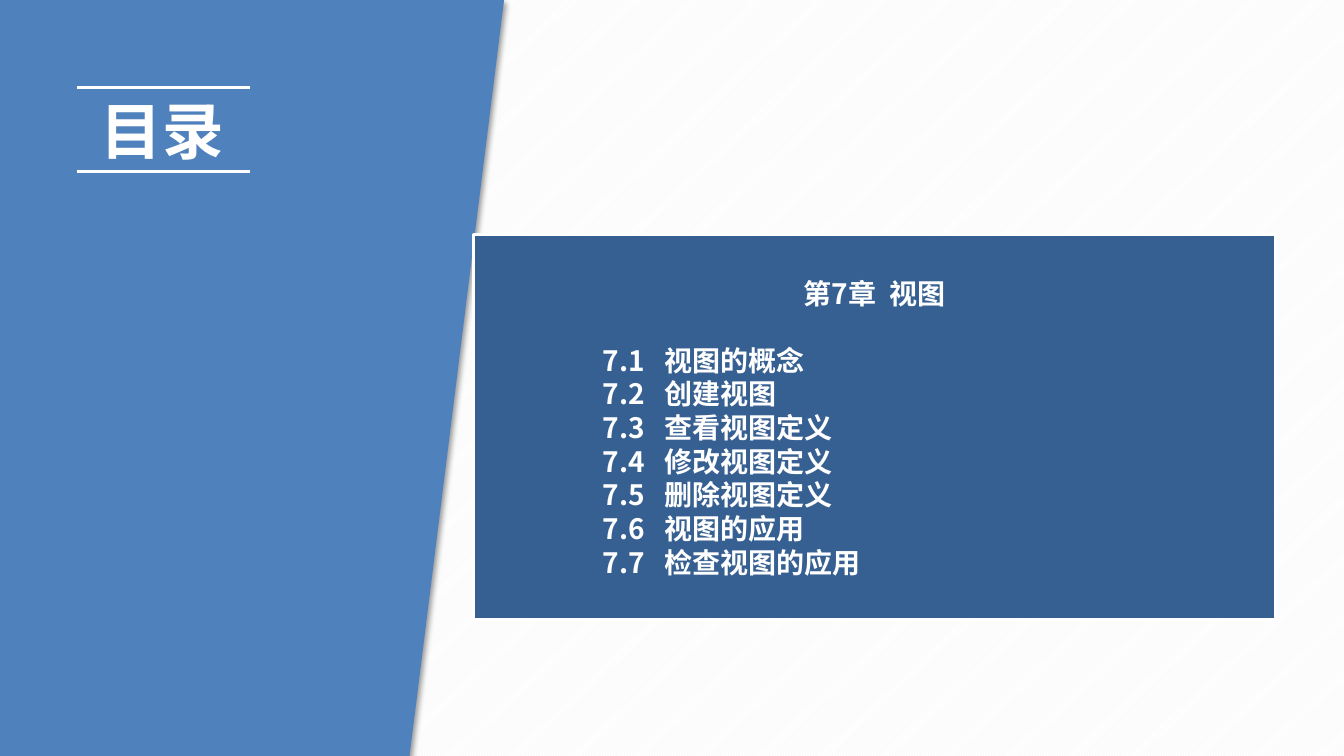
from lxml.etree import SubElement
from pptx import Presentation
from pptx.dml.color import RGBColor
from pptx.enum.dml import MSO_PATTERN
from pptx.enum.shapes import MSO_CONNECTOR, MSO_SHAPE
from pptx.enum.text import MSO_ANCHOR, PP_ALIGN
from pptx.oxml import parse_xml
from pptx.oxml.ns import nsdecls, qn
from pptx.util import Inches, Pt

WHITE = RGBColor(0xFF, 0xFF, 0xFF)
GRAY = RGBColor(0xF2, 0xF2, 0xF2)
BLUE = RGBColor(0x4F, 0x81, 0xBD)
NAVY = RGBColor(0x37, 0x60, 0x92)
FACE = "Noto Sans CJK SC"
TOPICS = ["视图的概念", "创建视图", "查看视图定义", "修改视图定义",
          "删除视图定义", "视图的应用", "检查视图的应用"]


def style(para, size):
    """Set bold white type, for Latin and Chinese letters alike."""
    font = para.font
    font.name, font.size, font.bold = FACE, Pt(size), True
    font.color.rgb = WHITE
    SubElement(font._element, qn("a:ea"), typeface=FACE)


deck = Presentation()
deck.slide_width, deck.slide_height = Inches(13.33), Inches(7.5)
slide = deck.slides.add_slide(deck.slide_layouts[6])
shapes = slide.shapes

back = slide.background.fill
back.patterned()
back.pattern = MSO_PATTERN.DARK_UPWARD_DIAGONAL
back.fore_color.rgb, back.back_color.rgb = GRAY, WHITE

# Slanted side panel with a soft shadow
pen = shapes.build_freeform(0, 0, scale=Inches(1))
pen.add_line_segments([(4.98, 0), (3.81, 7.5), (0, 7.5)])
panel = pen.convert_to_shape()
panel.fill.solid()
panel.fill.fore_color.rgb = BLUE
panel.line.fill.background()
panel._element.spPr.append(parse_xml(
    f'<a:effectLst {nsdecls("a")}><a:outerShdw blurRad="{Pt(4)}" '
    f'dist="{Pt(3)}" dir="2700000" algn="tl" rotWithShape="0">'
    '<a:srgbClr val="000000"><a:alpha val="40000"/></a:srgbClr>'
    '</a:outerShdw></a:effectLst>'))

# Heading between two rules
head = shapes.add_textbox(Inches(0.9), Inches(0.87), Inches(2.77), Inches(0.84))
head.text_frame.word_wrap = True
title = head.text_frame.paragraphs[0]
title.text = "目录"
style(title, 44)
for y in (0.87, 1.7):
    rule = shapes.add_connector(MSO_CONNECTOR.STRAIGHT, Inches(0.76), Inches(y),
                                Inches(2.48), Inches(y))
    rule.line.color.rgb, rule.line.width = WHITE, Pt(2)
    SubElement(rule._element.spPr, qn("a:effectLst"))

# Chapter box
box = shapes.add_shape(MSO_SHAPE.RECTANGLE, Inches(4.7), Inches(2.33),
                       Inches(7.95), Inches(3.82))
box.shadow.inherit = False
box.fill.solid()
box.fill.fore_color.rgb = NAVY
box.line.color.rgb, box.line.width = WHITE, Pt(2.25)
frame = box.text_frame
frame.word_wrap, frame.vertical_anchor = True, MSO_ANCHOR.MIDDLE

chapter = frame.paragraphs[0]
chapter.text = "第7章  视图"
chapter.alignment = PP_ALIGN.CENTER
chapter.space_after = Pt(24)
style(chapter, 20)
for num, topic in enumerate(TOPICS, 1):
    item = frame.add_paragraph()
    item.text = f"7.{num}\t{topic}"
    item.alignment, item.level = PP_ALIGN.LEFT, 1
    props = item._p.get_or_add_pPr()
    props.set("marL", str(Inches(1.79)))
    props.set("indent", str(-Inches(0.61)))
    style(item, 20)

deck.save("out.pptx")
